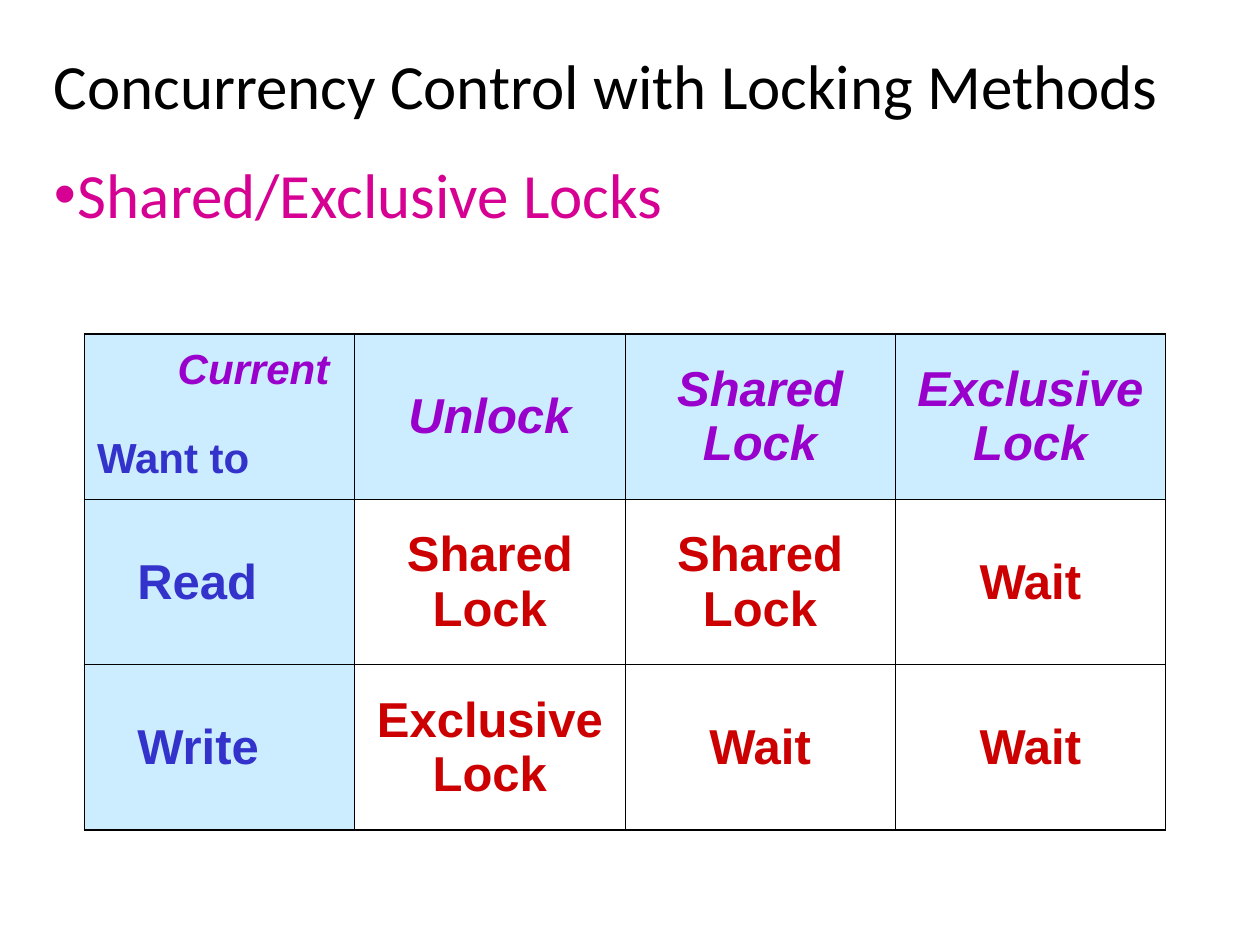
"""Builds a slide with the shared and exclusive lock decision table."""
from dataclasses import dataclass

from lxml import etree
from pptx import Presentation
from pptx import util as u
from pptx.dml import color
from pptx.enum import text as t
from pptx.oxml import ns


@dataclass(frozen=True)
class Theme:
    heading_font: str = "Calibri"
    table_font: str = "Arial"
    black: str = "000000"
    pink: str = "D60093"
    purple: str = "9900CC"
    blue: str = "3333CC"
    red: str = "CC0000"
    pale: str = "CCECFF"
    heading_size: int = 36
    cell_size: int = 28
    corner_size: int = 24
    outer_line: float = 1.08
    inner_line: float = 0.45


THEME = Theme()


def write(para, text, font=THEME.table_font, size=THEME.cell_size, ink=THEME.black,
          bold=False, italic=False, align=t.PP_ALIGN.LEFT, indent=0, hanging=0,
          bullet=None, before=0, spacing=None):
    props = para._p.get_or_add_pPr()
    props.set("marL", str(u.Inches(indent)))
    props.set("indent", str(u.Inches(-hanging)))
    if bullet:
        tint = etree.SubElement(props, ns.qn("a:buClr"))
        etree.SubElement(tint, ns.qn("a:srgbClr"), val=ink)
        etree.SubElement(props, ns.qn("a:buFont"), typeface=THEME.table_font)
        etree.SubElement(props, ns.qn("a:buChar"), char=bullet)
    para.alignment = align
    para.space_before = u.Pt(before)
    if spacing:
        para.line_spacing = spacing
    span = para.add_run()
    span.text = text
    span.font.name = font
    span.font.size = u.Pt(size)
    span.font.bold = bold
    span.font.italic = italic
    span.font.color.rgb = color.RGBColor.from_string(ink)


def draw_border(cell, side, width):
    line = etree.SubElement(cell._tc.get_or_add_tcPr(), ns.qn(f"a:ln{side}"), w=str(u.Pt(width)))
    fill = etree.SubElement(line, ns.qn("a:solidFill"))
    etree.SubElement(fill, ns.qn("a:srgbClr"), val=THEME.black)


deck = Presentation()
deck.slide_width, deck.slide_height = u.Inches(10), u.Inches(7.5)
page = deck.slides.add_slide(deck.slide_layouts[6])

headings = [
    ("Concurrency Control with Locking Methods", (0.33, 0.33, 9.25, 0.75),
     t.MSO_ANCHOR.MIDDLE, dict(ink=THEME.black)),
    ("Shared/Exclusive Locks", (0.33, 1.25, 7.42, 0.85),
     t.MSO_ANCHOR.TOP, dict(ink=THEME.pink, bullet="•", indent=0.19, hanging=0.19)),
]
for text, place, anchor, style in headings:
    box = page.shapes.add_textbox(*map(u.Inches, place))
    box.text_frame.word_wrap = True
    box.text_frame.vertical_anchor = anchor
    write(box.text_frame.paragraphs[0], text, font=THEME.heading_font,
          size=THEME.heading_size, spacing=0.9, **style)

lock_rows = [
    ["Current", "Unlock", "Shared Lock", "Exclusive Lock"],
    ["Read", "Shared Lock", "Shared Lock", "Wait"],
    ["Write", "Exclusive Lock", "Wait", "Wait"],
]
last_row, last_column = len(lock_rows) - 1, len(lock_rows[0]) - 1
table = page.shapes.add_table(last_row + 1, last_column + 1, u.Inches(0.67), u.Inches(2.65),
                              u.Inches(8.58), u.Inches(3.94)).table
table.first_row = table.horz_banding = False

for row, labels in enumerate(lock_rows):
    for column, label in enumerate(labels):
        cell = table.cell(row, column)
        edges = {"L": column == 0, "R": column == last_column,
                 "T": row == 0, "B": row == last_row}
        for side, outer in edges.items():
            draw_border(cell, side, THEME.outer_line if outer else THEME.inner_line)
        if row == 0 or column == 0:
            cell.fill.solid()
            cell.fill.fore_color.rgb = color.RGBColor.from_string(THEME.pale)
        else:
            cell.fill.background()
        cell.vertical_anchor = t.MSO_ANCHOR.MIDDLE
        if row == 0 and column == 0:
            cell.vertical_anchor = t.MSO_ANCHOR.TOP
            cell.margin_top = u.Inches(0.1)
            style = dict(size=THEME.corner_size, ink=THEME.purple, italic=True, indent=0.64)
            write(cell.text_frame.add_paragraph(), "Want to", size=THEME.corner_size,
                  ink=THEME.blue, bold=True, before=24)
        elif row == 0:
            style = dict(ink=THEME.purple, italic=True, align=t.PP_ALIGN.CENTER)
        elif column == 0:
            style = dict(ink=THEME.blue, indent=0.32)
        else:
            style = dict(ink=THEME.red, align=t.PP_ALIGN.CENTER)
        write(cell.text_frame.paragraphs[0], label, bold=True, **style)

deck.save("out.pptx")
